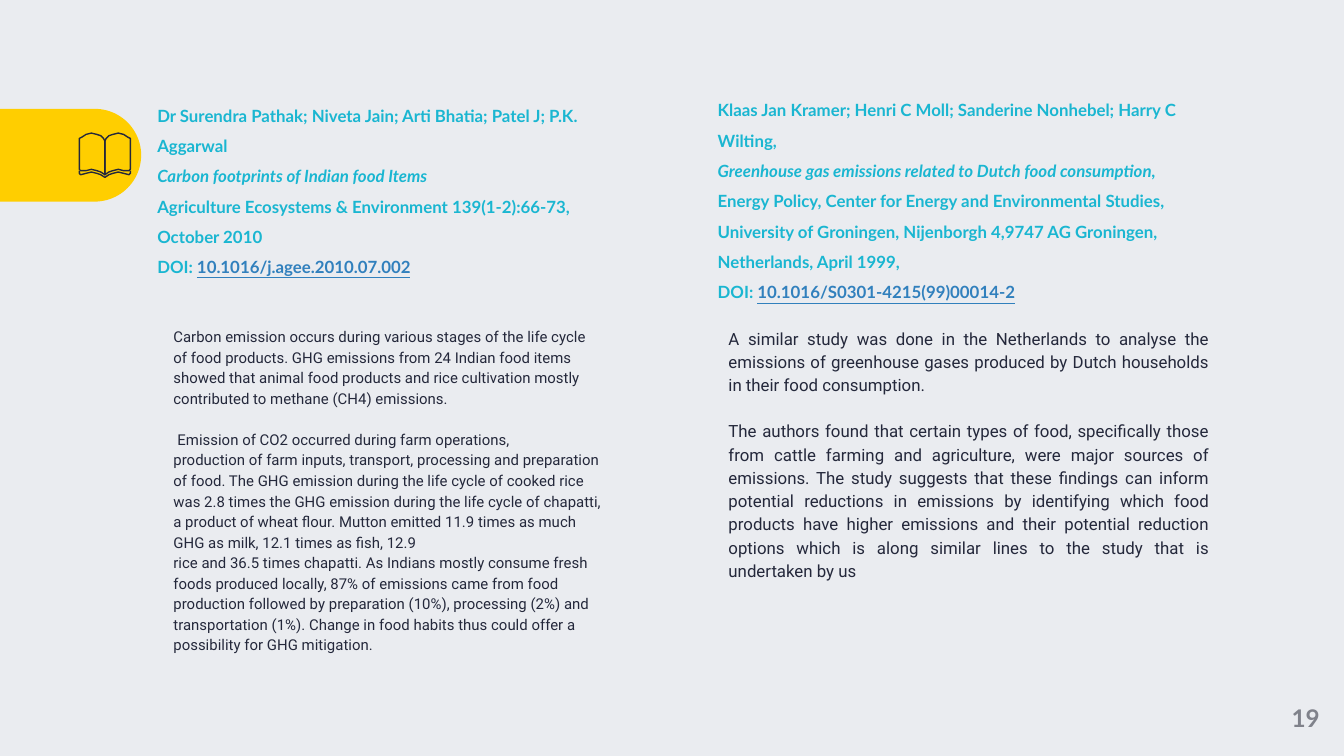
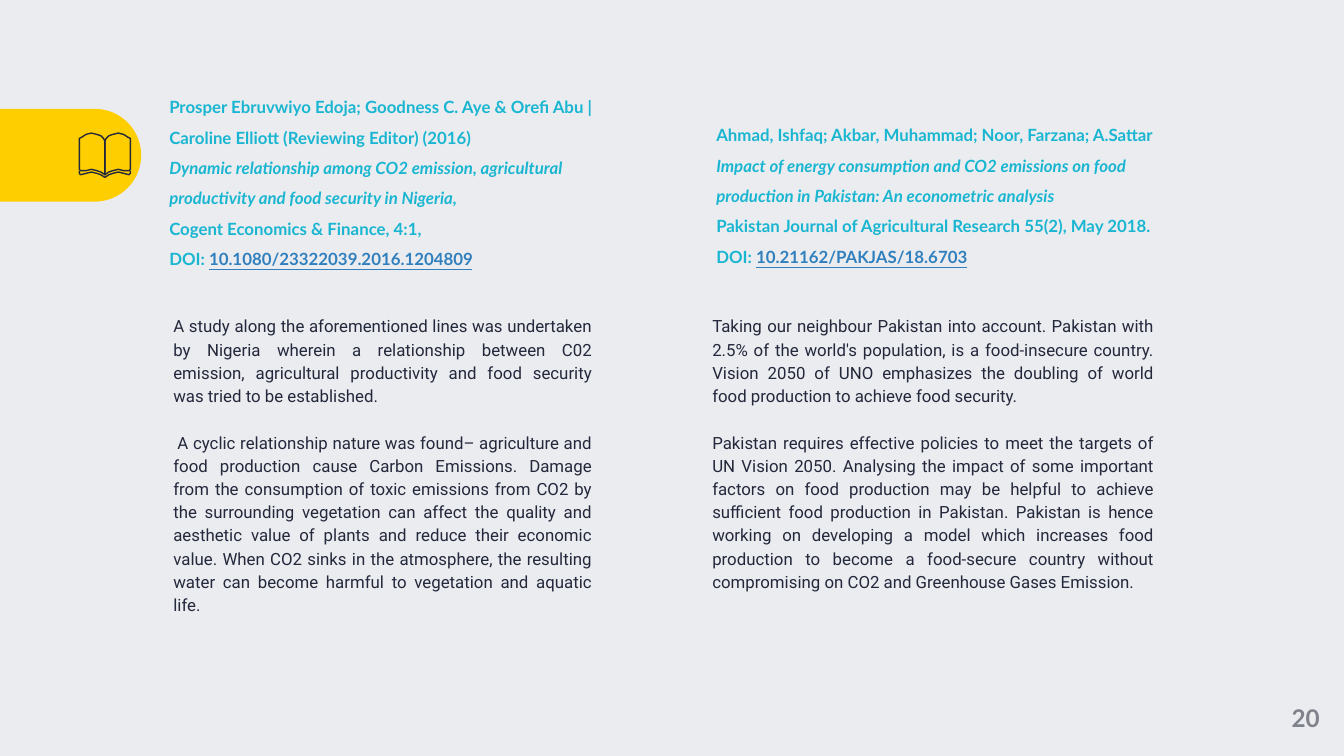
import pptx
import pptx.util
import pptx.dml.color
import pptx.enum.shapes
import pptx.enum.text

Inches, Pt = pptx.util.Inches, pptx.util.Pt
ALIGN = pptx.enum.text.PP_ALIGN
ANCHOR = pptx.enum.text.MSO_ANCHOR

COLORS = {"back": "EAECF0", "tab": "FFCE00", "ink": "24283B",
          "cite": "1AB6D1", "link": "3180BD", "page": "80828B"}

# Content: each study has a citation (authors, title, tail, source, doi)
# and a summary of (text, first-line indent, starts a new block)
SLIDES = [
    {"page": "19", "studies": [
        {"authors": "Dr Surendra Pathak; Niveta Jain; Arti Bhatia; Patel J; P.K. Aggarwal",
         "title": "Carbon footprints of Indian food Items", "tail": "",
         "source": "Agriculture Ecosystems & Environment 139(1-2):66-73, October 2010",
         "doi": "10.1016/j.agee.2010.07.002",
         "cite": (1.17, 1.15, 3.49, 0.93), "foot": 0.46,
         "body": (1.17, 2.42, 3.32, 2.52), "size": 8, "align": ALIGN.LEFT,
         "text": [
             ("Carbon emission occurs during various stages of the life cycle of food "
              "products. GHG emissions from 24 Indian food items showed that animal food "
              "products and rice cultivation mostly contributed to methane (CH4) "
              "emissions.", 0, False),
             ("Emission of CO2 occurred during farm operations,", 0.03, True),
             ("production of farm inputs, transport, processing and preparation of food. "
              "The GHG emission during the life cycle of cooked rice was 2.8 times the "
              "GHG emission during the life cycle of chapatti, a product of wheat flour. "
              "Mutton emitted 11.9 times as much GHG as milk, 12.1 times as fish, 12.9",
              0, False),
             ("rice and 36.5 times chapatti. As Indians mostly consume fresh foods "
              "produced locally, 87% of emissions came from food production followed by "
              "preparation (10%), processing (2%) and transportation (1%). Change in "
              "food habits thus could offer a possibility for GHG mitigation.", 0, False),
         ]},
        {"authors": "Klaas Jan Kramer; Henri C Moll; Sanderine Nonhebel; Harry C Wilting,",
         "title": "Greenhouse gas emissions related to Dutch food consumption", "tail": ",",
         "source": "Energy Policy, Center for Energy and Environmental Studies, "
                   "University of Groningen, Nijenborgh 4,9747 AG Groningen, "
                   "Netherlands, April 1999,",
         "doi": "10.1016/S0301-4215(99)00014-2",
         "cite": (5.34, 1.27, 3.69, 0.67), "foot": 0.29,
         "body": (5.3, 2.42, 3.69, 3.29), "size": 9, "align": ALIGN.JUSTIFY,
         "text": [
             ("A similar study was done in the Netherlands to analyse the emissions of "
              "greenhouse gases produced by Dutch households in their food consumption.",
              0, False),
             ("The authors found that certain types of food, specifically those from "
              "cattle farming and agriculture, were major sources of emissions. The study "
              "suggests that these findings can inform potential reductions in emissions "
              "by identifying which food products have higher emissions and their "
              "potential reduction options which is along similar lines to the study that "
              "is undertaken by us", 0, True),
         ]},
    ]},
    {"page": "20", "studies": [
        {"authors": "Prosper Ebruvwiyo Edoja; Goodness C. Aye & Orefi Abu | "
                    "Caroline Elliott (Reviewing Editor) (2016)",
         "title": "Dynamic relationship among CO2 emission, agricultural productivity "
                  "and food security in Nigeria", "tail": ",",
         "source": "Cogent Economics & Finance, 4:1,",
         "doi": "10.1080/23322039.2016.1204809",
         "cite": (1.26, 0.86, 3.23, 0.93), "foot": 0,
         "body": (1.17, 2.33, 3.23, 3.29), "size": 9, "align": ALIGN.JUSTIFY,
         "text": [
             ("A study along the aforementioned lines was undertaken by Nigeria wherein a "
              "relationship between C02 emission, agricultural productivity and food "
              "security was tried to be established.", 0, False),
             ("A cyclic relationship nature was found– agriculture and food production "
              "cause Carbon Emissions. Damage from the consumption of toxic emissions "
              "from CO2 by the surrounding vegetation can affect the quality and "
              "aesthetic value of plants and reduce their economic value. When CO2 sinks "
              "in the atmosphere, the resulting water can become harmful to vegetation "
              "and aquatic life.", 0.03, True),
         ]},
        {"authors": "Ahmad, Ishfaq; Akbar, Muhammad; Noor, Farzana; A.Sattar",
         "title": "Impact of energy consumption and CO2 emissions on food production in "
                  "Pakistan: An econometric analysis", "tail": "",
         "source": "Pakistan Journal of Agricultural Research 55(2), May 2018.",
         "doi": "10.21162/PAKJAS/18.6703",
         "cite": (5.33, 1.1, 3.4, 0.93), "foot": 0.29,
         "body": (5.18, 2.33, 3.4, 3.29), "size": 9, "align": ALIGN.JUSTIFY,
         "text": [
             ("Taking our neighbour Pakistan into account. Pakistan with 2.5% of the "
              "world's population, is a food-insecure country. Vision 2050 of UNO "
              "emphasizes the doubling of world food production to achieve food security.",
              0, False),
             ("Pakistan requires effective policies to meet the targets of UN Vision 2050. "
              "Analysing the impact of some important factors on food production may be "
              "helpful to achieve sufficient food production in Pakistan. Pakistan is "
              "hence working on developing a model which increases food production to "
              "become a food-secure country without compromising on CO2 and Greenhouse "
              "Gases Emission.", 0, True),
         ]},
    ]},
]

# Book outline: distance from the spine, height on the slide
SPINE = 0.78
COVER = [(0, 1.32), (0.03, 1.3), (0.06, 1.29), (0.1, 1.28), (0.14, 1.29),
         (0.18, 1.3), (0.19, 1.29), (0.19, 1.27)]
LEAF = [(0, 1.05), (0, 1.3), (0.03, 1.28), (0.06, 1.27), (0.1, 1.26), (0.14, 1.27),
        (0.18, 1.27), (0.19, 1.26), (0.19, 1.03), (0.17, 1.02), (0.14, 1),
        (0.1, 0.99), (0.06, 1), (0.03, 1.01), (0.01, 1.03)]


def color(name):
    return pptx.dml.color.RGBColor.from_string(COLORS[name])


def style(par, face, size, tint, bold=False):
    par.font.name, par.font.size, par.font.bold = face, Pt(size), bold
    par.font.color.rgb = color(tint)


def add_box(slide, spot, anchor, foot=0):
    frame = slide.shapes.add_textbox(*map(Inches, spot)).text_frame
    frame.word_wrap = True
    frame.vertical_anchor = anchor
    frame.margin_left = frame.margin_right = frame.margin_top = 0
    frame.margin_bottom = Inches(foot)
    return frame


def add_pars(frame, count):
    return [frame.paragraphs[0]] + [frame.add_paragraph() for _ in range(count - 1)]


def add_run(par, text):
    run = par.add_run()
    run.text = text
    return run


def add_book(slide):
    group = slide.shapes.add_group_shape()
    for outline, closed in ((COVER, False), (LEAF, True)):
        for side in (-1, 1):
            dots = [(Inches(SPINE + side * x), Inches(y)) for x, y in outline]
            pen = group.shapes.build_freeform(*dots[0])
            pen.add_line_segments(dots[1:], close=closed)
            part = pen.convert_to_shape()
            part.shadow.inherit = False
            part.fill.background()
            part.line.color.rgb = color("ink")
            part.line.width = Pt(0.75)


def add_frame(slide, page):
    # Background, side tab, page number and book
    slide.background.fill.solid()
    slide.background.fill.fore_color.rgb = color("back")
    tab = slide.shapes.add_shape(pptx.enum.shapes.MSO_SHAPE.ROUND_2_SAME_RECTANGLE,
                                 *map(Inches, (0.18, 0.63, 0.69, 1.05)))
    tab.rotation = 90
    tab.adjustments[0], tab.adjustments[1] = 0.5, 0
    tab.shadow.inherit = False
    tab.fill.solid()
    tab.fill.fore_color.rgb = color("tab")
    tab.line.fill.background()
    par = add_box(slide, (9.43, 5.06, 0.57, 0.56), ANCHOR.MIDDLE).paragraphs[0]
    par.text = page
    par.alignment = ALIGN.CENTER
    style(par, "Lato", 13, "page", True)
    add_book(slide)


def add_cite(slide, study):
    frame = add_box(slide, study["cite"], ANCHOR.MIDDLE, study["foot"])
    pars = add_pars(frame, 4)
    who, title, source, doi = pars
    for par in pars:
        par.line_spacing = 1.5
        style(par, "Lato", 9, "cite", True)
    add_run(who, study["authors"])
    add_run(title, study["title"]).font.italic = True
    if study["tail"]:
        add_run(title, study["tail"])
    add_run(source, study["source"])
    add_run(doi, "DOI: ")
    link = add_run(doi, study["doi"])
    link.font.underline = True
    link.font.color.rgb = color("link")


def add_body(slide, study):
    frame = add_box(slide, study["body"], ANCHOR.TOP)
    size = study["size"]
    pars = add_pars(frame, len(study["text"]))
    for par, (text, indent, fresh) in zip(pars, study["text"]):
        par.text = text
        par.alignment = study["align"]
        par.line_spacing = 1.15
        if fresh:
            par.space_before = Pt(round(size * 1.38, 1))
        props = par._p.get_or_add_pPr()
        props.set("marL", str(Inches(0.12)))
        props.set("indent", str(Inches(indent)))
        style(par, "Roboto", size, "ink")


def main():
    deck = pptx.Presentation()
    # Widescreen, 16 to 9
    deck.slide_width = Inches(10)
    deck.slide_height = deck.slide_width * 9 // 16
    for item in SLIDES:
        slide = deck.slides.add_slide(deck.slide_layouts[6])
        add_frame(slide, item["page"])
        for study in item["studies"]:
            add_cite(slide, study)
            add_body(slide, study)
    deck.save("out.pptx")


if __name__ == "__main__":
    main()
